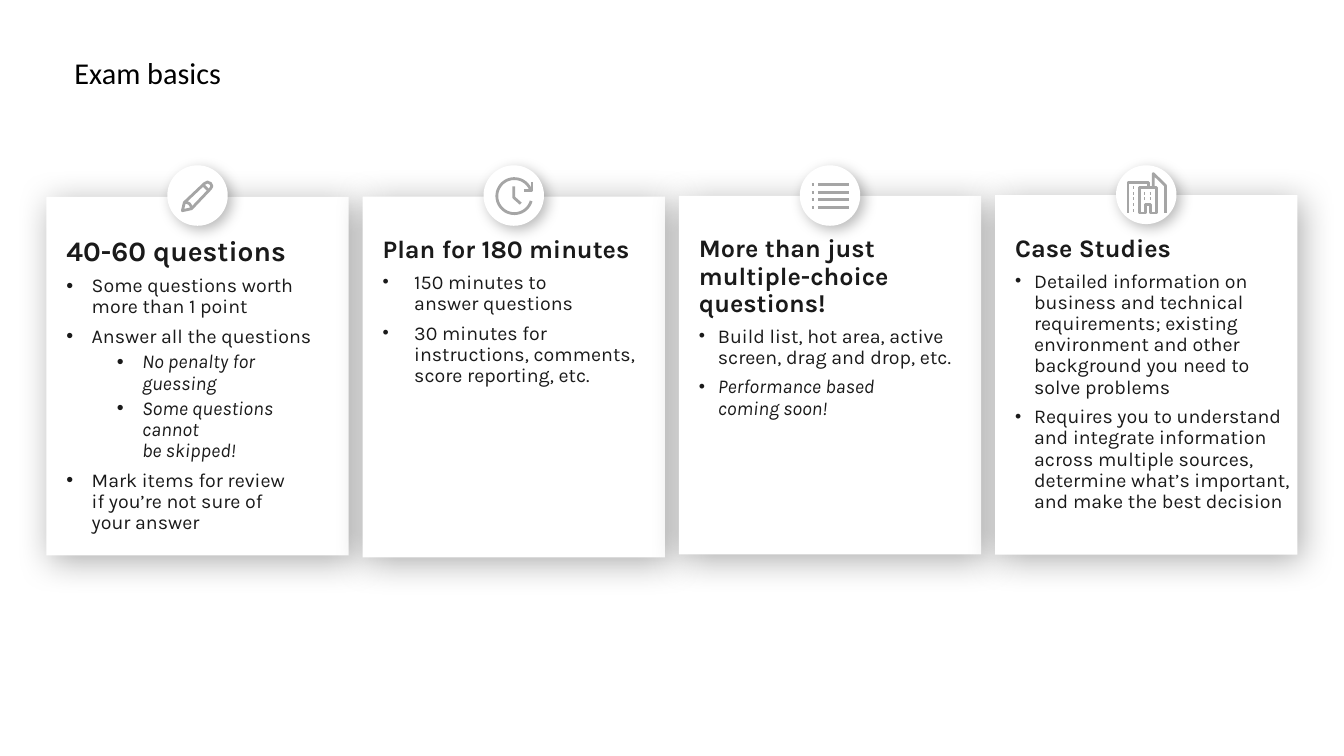
import copy
import dataclasses
import math

import lxml.etree
import pptx
import pptx.dml.color
import pptx.enum.shapes
import pptx.enum.text
import pptx.oxml.ns
import pptx.util

Pt = pptx.util.Pt
qn = pptx.oxml.ns.qn
SHAPE = pptx.enum.shapes.MSO_SHAPE
ALIGN = pptx.enum.text.PP_ALIGN
ANCHOR = pptx.enum.text.MSO_ANCHOR


@dataclasses.dataclass(frozen=True)
class Theme:
    black: str = "000000"
    white: str = "FFFFFF"
    ink: str = "1A1A1A"
    grey: str = "A5A5A5"
    font: str = "Karla"
    title_font: str = "Calibri"
    title: float = 21.6
    body: float = 14
    stroke: float = 2


@dataclasses.dataclass(frozen=True)
class Item:
    text: str
    level: int = 0
    indent: float = 18
    hang: float = 18
    after: float = 6
    italic: bool = False
    scale: int = 100


@dataclasses.dataclass(frozen=True)
class Card:
    head: str
    size: float
    top: float
    height: float
    right: float
    items: list
    icon: list
    ring: float = 43.2


THEME = Theme()
LEFT, WIDTH, PITCH = 33.1, 216, 225.9
RING, RING_TOP = 43.2, 118.1


def rgb(code):
    return pptx.dml.color.RGBColor.from_string(code)


def style(para, size, color, name, bold=False, italic=False):
    """Format the runs and give line breaks the same type size."""
    for run in para.runs:
        font = run.font
        font.size, font.name = Pt(size), name
        font.bold, font.italic = bold, italic
        font.color.rgb = rgb(color)
    for gap in para._p.findall(qn("a:br")):
        gap.append(copy.deepcopy(para.runs[0]._r.rPr))


def bullet(para, item):
    props = para._p.get_or_add_pPr()
    props.set("marL", str(Pt(item.indent)))
    props.set("indent", str(-Pt(item.hang)))
    for tag, key, value in (("a:buSzPct", "val", item.scale * 1000),
                            ("a:buFont", "typeface", "Arial"),
                            ("a:buChar", "char", "•")):
        lxml.etree.SubElement(props, qn(tag)).set(key, str(value))


def shade(shape, alpha, blur, dist, angle):
    shape.shadow.inherit = False
    effects = shape._element.spPr.find(qn("a:effectLst"))
    outer = lxml.etree.SubElement(
        effects, qn("a:outerShdw"), blurRad=str(Pt(blur)), dist=str(Pt(dist)),
        dir=str(angle * 60000), algn="tl", rotWithShape="0")
    color = lxml.etree.SubElement(outer, qn("a:srgbClr"), val=THEME.black)
    lxml.etree.SubElement(color, qn("a:alpha"), val=str(alpha * 1000))


def panel(shapes, kind, box, shadow):
    """Add a white shape without outline that casts a soft shadow."""
    shape = shapes.add_shape(kind, *map(Pt, box))
    shape.fill.solid()
    shape.fill.fore_color.rgb = rgb(THEME.white)
    shape.line.fill.background()
    shade(shape, *shadow)
    return shape


def write(frame, card):
    frame.word_wrap = True
    frame.vertical_anchor = ANCHOR.TOP
    frame.margin_left, frame.margin_top = Pt(14.4), Pt(28.8)
    frame.margin_right, frame.margin_bottom = Pt(card.right), Pt(14.4)
    frame.text = card.head
    style(frame.paragraphs[0], card.size, THEME.ink, THEME.font, bold=True)
    frame.paragraphs[0].space_after = Pt(6)
    for item in card.items:
        para = frame.add_paragraph()
        para.text = item.text
        para.level = item.level
        bullet(para, item)
        para.space_after = Pt(item.after)
        style(para, THEME.body, THEME.ink, THEME.font, italic=item.italic)
    for para in frame.paragraphs:
        para.alignment = ALIGN.LEFT
        para.line_spacing = 0.9


def draw(shapes, strokes, x, y):
    """Draw an icon whose strokes are points around the centre x, y."""
    paths = [[(100 * (x + a), 100 * (y + b)) for a, b in s] for s in strokes]
    pen = shapes.build_freeform(*paths[0][0], scale=Pt(1) / 100)
    for count, path in enumerate(paths):
        if count:
            pen.move_to(*path[0])
        pen.add_line_segments(path[1:], close=False)
    icon = pen.convert_to_shape()
    icon.fill.background()
    icon.line.color.rgb = rgb(THEME.grey)
    icon.line.width = Pt(THEME.stroke)
    icon.shadow.inherit = False


def pencil():
    return [[(-4.3, 9.4), (-10.8, 10.8), (-9.4, 5), (5, -8.6), (7.2, -9.7),
             (9.4, -8.6), (10.3, -6.8), (9.4, -5), (-4.3, 9.4)],
            [(3.6, -7.9), (7.9, -3.6)],
            [(-4.3, 9.4), (-4.7, 7.4), (-5.8, 5.8), (-7.4, 5), (-9.4, 5)]]


def clock():
    turns = [math.radians(19 + 325 * n / 40) for n in range(41)]
    arc = [(0.4 + 12.5 * math.cos(t), 0.4 - 12.5 * math.sin(t)) for t in turns]
    return [[(5, 5.8), (0, 1.4), (0, -6.5)],
            [(7.2, -3.6), (13, -3.6), (13, -9.4)], arc]


def rows():
    return [[(a, -7.9 + 5.5 * n), (b, -7.9 + 5.5 * n)]
            for n in range(4) for a, b in ((-8.6, 13.7), (-13, -11.5))]


def towers():
    spots = [(-9.4, -5 + 4 * n) for n in range(5)]
    spots += [(x, y) for x in (-1.3, 2.5) for y in (-1, 3)]
    panes = [[(x, y), (x + 0.7, y)] for x, y in spots]
    return [[(7.2, -5), (7.2, 13), (2.9, 13), (2.9, 7.2), (-0.7, 7.2),
             (-0.7, 13), (-5, 13), (-5, -5), (7.2, -5)],
            [(1.4, -5), (1.4, -8.6), (-13, -8.6), (-13, 13)],
            [(13.7, 13), (13.7, -6.5), (5, -15.1), (5, -5)]] + panes


def add_card(slide, card, left):
    shapes = slide.shapes.add_group_shape().shapes
    box = panel(shapes, SHAPE.RECTANGLE, (left, card.top, WIDTH, card.height),
                (33, 25, 5, 50))
    write(box.text_frame, card)
    mid = left + WIDTH / 2
    panel(shapes, SHAPE.OVAL, (mid - RING / 2, RING_TOP, RING, card.ring),
          (28, 10, 4, 45))
    draw(shapes, card.icon, mid, RING_TOP + card.ring / 2)


def add_title(slide, text):
    title = slide.shapes.title
    title.left, title.top, title.width, title.height = map(Pt, (46, 36, 863.3, 33.8))
    frame = title.text_frame
    frame.text = text
    frame.auto_size = pptx.enum.text.MSO_AUTO_SIZE.NONE
    frame.vertical_anchor = ANCHOR.MIDDLE
    frame.margin_top = Pt(5)
    para = frame.paragraphs[0]
    para.alignment, para.line_spacing = ALIGN.LEFT, 0.9
    style(para, THEME.title, THEME.black, THEME.title_font)


def main():
    wide = dict(indent=22.5, hang=22.5, scale=90)
    slim = dict(indent=13.5, hang=13.5, scale=90)
    sub = dict(level=2, indent=54, italic=True)
    cards = [
        Card("40-60 questions", 20, 140.6, 256.1, 14.4, [
            Item("Some questions worth \nmore than 1 point", 1),
            Item("Answer all the questions", 1, after=3),
            Item("No penalty for guessing", after=3, **sub),
            Item("Some questions cannot \nbe skipped!", **sub),
            Item("Mark items for review \nif you’re not sure of \nyour answer", 1),
        ], pencil()),
        Card("Plan for 180 minutes", 18, 140.4, 257.8, 14.4, [
            Item("150 minutes to \nanswer questions", **wide),
            Item("30 minutes for \ninstructions, comments, score reporting, etc.", **wide),
        ], clock()),
        Card("More than just multiple-choice questions!", 18, 139.9, 256.1, 7.2, [
            Item("Build list, hot area, active screen, drag and drop, etc.", **slim),
            Item("Performance based \ncoming soon!", italic=True, **slim),
        ], rows()),
        Card("Case Studies", 18, 139.4, 256.8, 3.6, [
            Item("Detailed information on business and technical requirements; "
                 "existing environment and other background you need to \n"
                 "solve problems", **slim),
            Item("Requires you to understand \nand integrate information across "
                 "multiple sources, determine what’s important, and make the "
                 "best decision", **slim),
        ], towers(), 42),
    ]
    deck = pptx.Presentation()
    deck.slide_width, deck.slide_height = Pt(960), Pt(540)
    slide = deck.slides.add_slide(deck.slide_layouts[5])
    add_title(slide, "Exam basics")
    for count, card in enumerate(cards):
        add_card(slide, card, LEFT + PITCH * count)
    deck.save("out.pptx")


if __name__ == "__main__":
    main()
